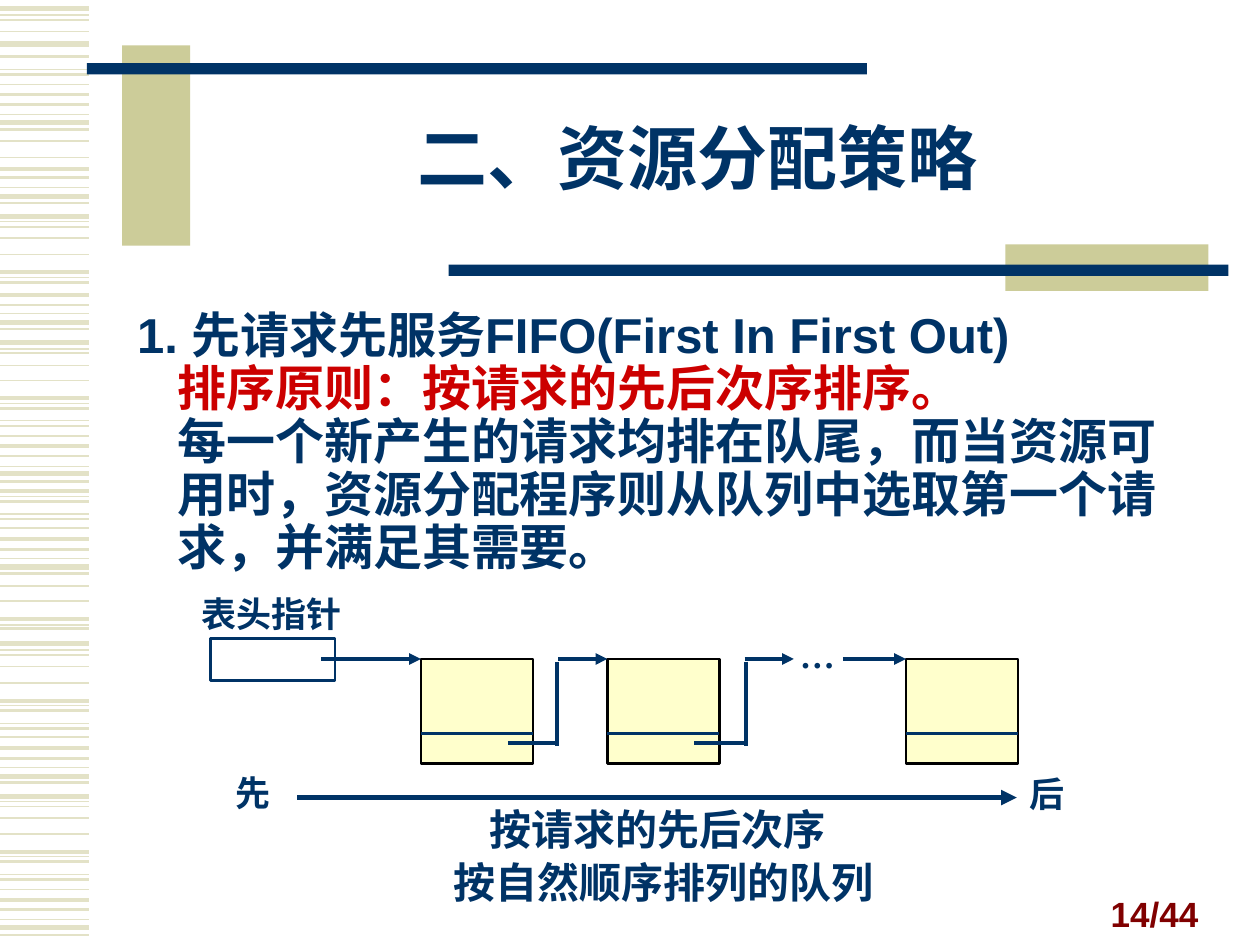
from dataclasses import dataclass

from lxml import etree
from pptx import Presentation
from pptx.dml.color import RGBColor
from pptx.enum.shapes import MSO_CONNECTOR, MSO_SHAPE
from pptx.enum.text import MSO_ANCHOR, PP_ALIGN
from pptx.oxml.ns import qn
from pptx.util import Inches, Pt

LINE = MSO_CONNECTOR.STRAIGHT
RECT = MSO_SHAPE.RECTANGLE
LEFT, CENTER, RIGHT = PP_ALIGN.LEFT, PP_ALIGN.CENTER, PP_ALIGN.RIGHT
TOP, MIDDLE, BOTTOM = MSO_ANCHOR.TOP, MSO_ANCHOR.MIDDLE, MSO_ANCHOR.BOTTOM

NAVY, KHAKI, PALE = "003366", "CCCC99", "E3E2C7"
RED, MAROON, CREAM = "CC0000", "800000", "FFFFCC"
WHITE, BLACK = "FFFFFF", "000000"
SANS, SERIF = "Arial", "Times New Roman"

# Heights of the margin stripes, by line width in points
STRIPES = {
    3: [0.07, 0.35, 0.97, 1.56, 1.72, 2.56, 2.72, 3.76, 4.5, 5.11, 6.16,
        6.32, 7.36],
    2.25: [0.75, 1.34, 2.16, 2.34, 3.16, 3.54, 3.9, 4.28, 4.91, 5.56, 5.94,
           6.76, 7.14],
    1.5: [0.45, 0.59, 0.83, 1.03, 1.41, 1.61, 2.24, 2.42, 2.61, 3.24, 3.38,
          3.62, 3.82, 3.98, 4.12, 4.36, 4.55, 4.99, 5.64, 5.78, 6.02, 6.21,
          6.84, 6.98, 7.22, 7.42],
    1: [0.16, 0.25, 0.67, 1.12, 1.25, 1.8, 1.89, 2.02, 2.8, 2.9, 3.02, 3.46,
        4.19, 4.65, 4.77, 5.2, 5.29, 5.42, 5.85, 6.4, 6.49, 6.62, 7.06],
    0.75: [0.12, 0.55, 0.91, 1.49, 1.76, 2.2, 2.49, 2.77, 3.2, 3.34, 3.7,
           3.94, 4.08, 4.43, 4.96, 5.16, 5.6, 5.74, 6.09, 6.36, 6.8, 6.94,
           7.3],
}


@dataclass
class Box:
    x: float
    y: float
    w: float
    h: float
    fill: str
    edge: str = ""


@dataclass
class Wire:
    x1: float
    y1: float
    x2: float
    y2: float
    width: float = 2.25
    arrow: bool = False
    color: str = NAVY


@dataclass
class Label:
    text: str
    x: float
    y: float
    w: float
    h: float
    size: float = 20
    font: str = SERIF
    color: str = NAVY
    align: PP_ALIGN = LEFT
    anchor: MSO_ANCHOR = TOP


BARS = [
    Box(0.97, 0.36, 0.54, 1.59, KHAKI),
    Box(0.69, 0.5, 6.19, 0.09, NAVY),
    Box(7.98, 1.94, 1.61, 0.37, KHAKI),
    Box(3.56, 2.1, 6.19, 0.09, NAVY),
]

HEAD = Box(1.67, 5.07, 0.99, 0.33, WHITE, NAVY)
NODES = [Box(x, 5.23, 0.89, 0.83, CREAM, BLACK) for x in (3.34, 4.82, 7.19)]

WIRES = [
    Wire(2.55, 5.23, 3.34, 5.23, arrow=True),
    Wire(4.43, 5.23, 4.82, 5.23, arrow=True),
    Wire(5.91, 5.23, 6.3, 5.23, arrow=True),
    Wire(6.69, 5.23, 7.19, 5.23, arrow=True),
    Wire(4.03, 5.9, 4.43, 5.9),
    Wire(5.51, 5.9, 5.91, 5.9),
    Wire(4.42, 5.25, 4.42, 5.92),
    Wire(5.92, 5.25, 5.92, 5.92),
    Wire(2.36, 6.33, 8.07, 6.33, 3, True),
]

LABELS = [
    Label("表头指针", 1.5, 4.65, 1.33, 0.43),
    Label("…", 6.25, 4.98, 0.5, 0.33),
    Label("先", 1.77, 6.07, 0.59, 0.43),
    Label("后", 8.07, 6.08, 0.59, 0.43),
    Label("按请求的先后次序", 3.79, 6.33, 2.96, 0.5, 24),
    Label("按自然顺序排列的队列", 3.5, 6.75, 3.67, 0.5, 24),
    Label("14/44", 7.21, 6.97, 2.4, 0.5, 20, SANS, MAROON, RIGHT, BOTTOM),
]

TITLE = Label("二、资源分配策略", 1.5, 0.67, 8.07, 1.25, 40, SANS, NAVY,
              CENTER, MIDDLE)
BODY = Label(
    "1. 先请求先服务FIFO(First In First Out)\n"
    "排序原则：按请求的先后次序排序。\n"
    "每一个新产生的请求均排在队尾，而当资源可用时，"
    "资源分配程序则从队列中选取第一个请求，并满足其需要。",
    0.89, 2.42, 8.7, 2.33, 28, SANS)


def paint(color, value: str) -> None:
    color.rgb = RGBColor.from_string(value)


def draw_box(slide, box: Box) -> None:
    shape = slide.shapes.add_shape(
        RECT, Inches(box.x), Inches(box.y), Inches(box.w), Inches(box.h))
    shape.shadow.inherit = False
    shape.fill.solid()
    paint(shape.fill.fore_color, box.fill)
    if box.edge:
        paint(shape.line.color, box.edge)
        shape.line.width = Pt(1.5)
    else:
        shape.line.fill.background()


def draw_wire(slide, wire: Wire) -> None:
    line = slide.shapes.add_connector(
        LINE, Inches(wire.x1), Inches(wire.y1),
        Inches(wire.x2), Inches(wire.y2))
    paint(line.line.color, wire.color)
    line.line.width = Pt(wire.width)
    if wire.arrow:
        tip = etree.SubElement(line.line._get_or_add_ln(), qn("a:tailEnd"))
        tip.set("type", "triangle")
    etree.SubElement(line._element.spPr, qn("a:effectLst"))


def write(shape, label: Label) -> None:
    """Place a text shape and format all its paragraphs."""
    shape.left, shape.top = Inches(label.x), Inches(label.y)
    shape.width, shape.height = Inches(label.w), Inches(label.h)
    frame = shape.text_frame
    frame.text = label.text
    frame.word_wrap = True
    frame.vertical_anchor = label.anchor
    for para in frame.paragraphs:
        para.alignment = label.align
        for run in para.runs:
            run.font.name, run.font.size = label.font, Pt(label.size)
            run.font.bold = True
            paint(run.font.color, label.color)


def draw_label(slide, label: Label):
    shape = slide.shapes.add_textbox(0, 0, 0, 0)
    write(shape, label)
    return shape.text_frame


def draw_body(slide) -> None:
    paras = draw_label(slide, BODY).paragraphs
    for i, para in enumerate(paras):
        para.line_spacing = 0.9
        props = para._p.get_or_add_pPr()
        props.set("marL", str(Inches(0.42)))
        props.set("indent", str(Inches(0 if i else -0.32)))
    paint(paras[1].runs[0].font.color, RED)


def main() -> None:
    deck = Presentation()
    deck.slide_width, deck.slide_height = Inches(10), Inches(7.5)
    slide = deck.slides.add_slide(deck.slide_layouts[5])
    for width, rows in STRIPES.items():
        for y in rows:
            draw_wire(slide, Wire(0, y, 0.71, y, width, color=PALE))
    for box in [*BARS, HEAD, *NODES]:
        draw_box(slide, box)
    for node in NODES:
        draw_wire(slide, Wire(node.x, 5.82, node.x + node.w, 5.82, 1.5))
    for wire in WIRES:
        draw_wire(slide, wire)
    title = slide.shapes.title
    write(title, TITLE)
    title.text_frame.paragraphs[0].line_spacing = 0.85
    draw_body(slide)
    for label in LABELS:
        draw_label(slide, label)
    deck.save("out.pptx")


if __name__ == "__main__":
    main()
